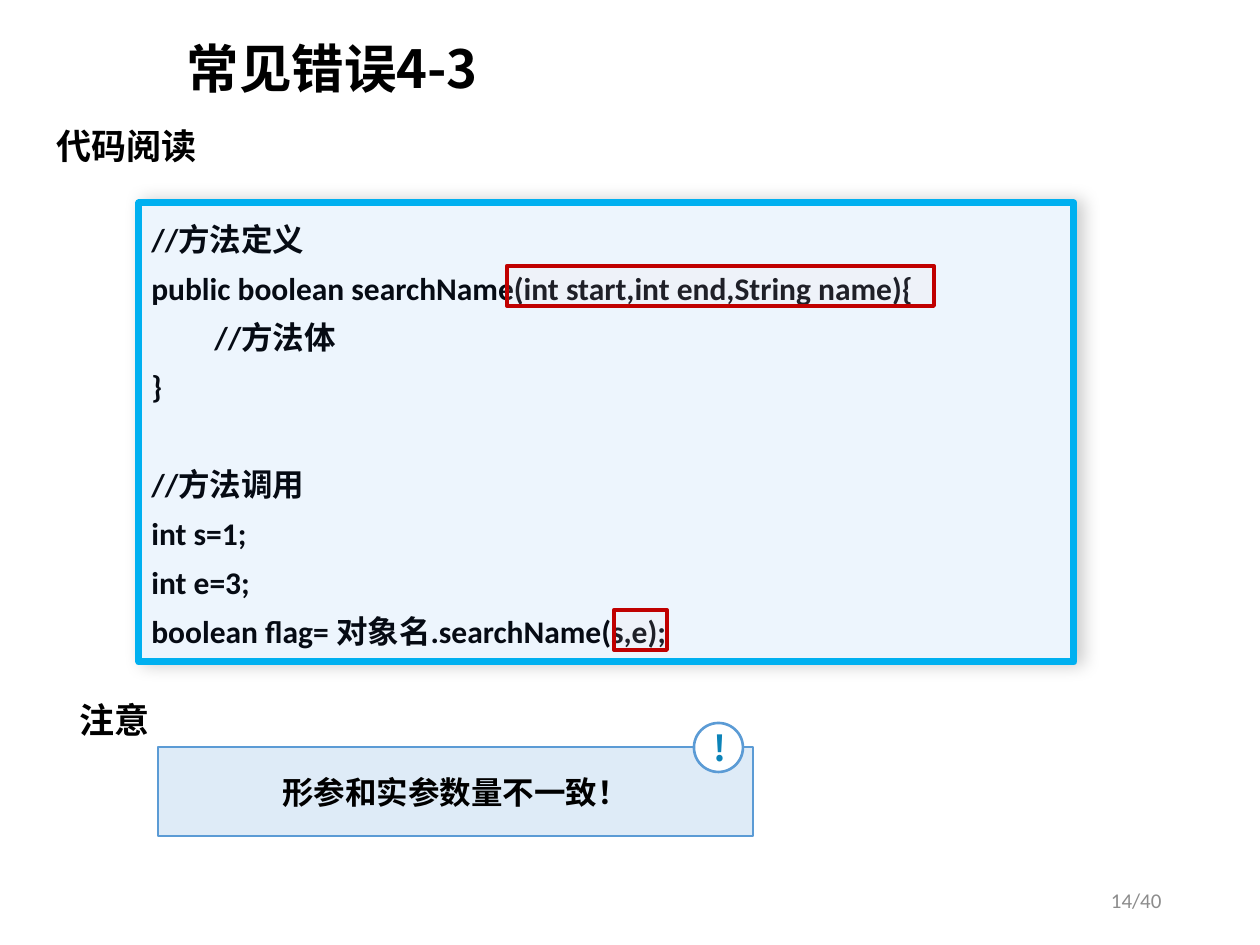
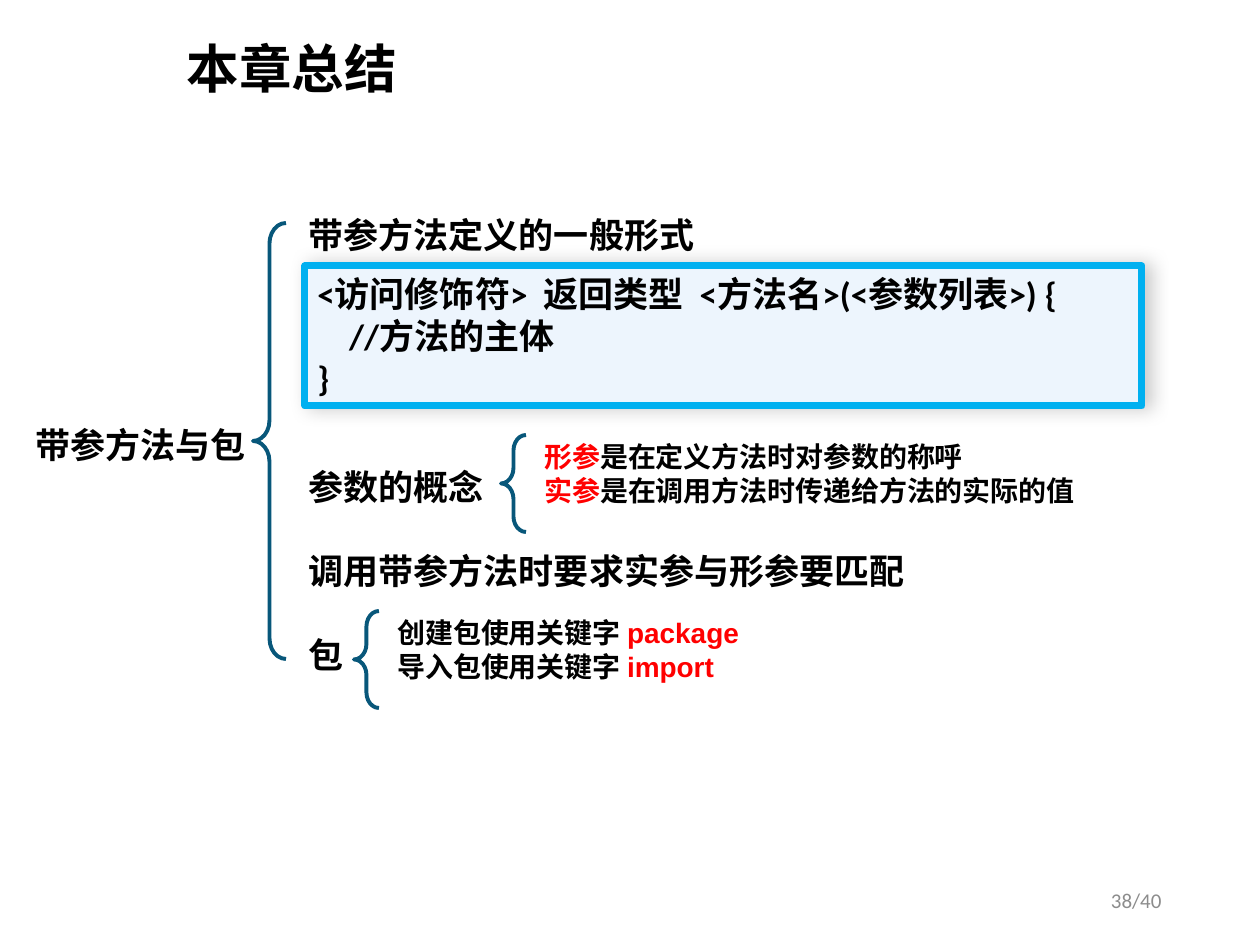
import dataclasses

import lxml.etree
import pptx
import pptx.dml.color
import pptx.enum.shapes
import pptx.enum.text
import pptx.oxml.ns
import pptx.util

PX = 914400 / 126
SHAPE = pptx.enum.shapes.MSO_SHAPE
ALIGN = pptx.enum.text.PP_ALIGN
ANCHOR = pptx.enum.text.MSO_ANCHOR
CJK = "Noto Sans CJK SC"


@dataclasses.dataclass(frozen=True)
class TextStyle:
    """Type settings with a fixed line pitch in points."""
    size: int
    pitch: int
    font: str = CJK
    color: str = "000000"
    bold: bool = True
    shadow: bool = False


@dataclasses.dataclass(frozen=True)
class Theme:
    """Colours and type styles shared by the slides."""
    code_fill: str = "EDF5FD"
    code_line: str = "00B0F0"
    mark_fill: str = "FFDDDD"
    mark_line: str = "C00000"
    note_fill: str = "DEEBF7"
    note_line: str = "5B9BD5"
    badge_fill: str = "FFFFFF"
    brace_line: str = "08577A"
    keyword: str = "FF0000"
    title: TextStyle = TextStyle(30, 36)
    heading: TextStyle = TextStyle(20, 24, shadow=True)
    code: TextStyle = TextStyle(18, 28, "Calibri", "060B14")
    syntax: TextStyle = TextStyle(20, 24, "Calibri")
    note: TextStyle = TextStyle(18, 22)
    badge: TextStyle = TextStyle(20, 24, color="0C83B8")
    topic: TextStyle = TextStyle(20, 24, "Arial")
    detail: TextStyle = TextStyle(16, 19, "Arial")
    footer: TextStyle = TextStyle(12, 14, "Calibri", "8C8C8C", False)


THEME = Theme()


def px(*lengths):
    """Turn pixel lengths into EMU."""
    return [pptx.util.Emu(round(length * PX)) for length in lengths]


def rgb(color):
    """Return a colour object for a hex string."""
    return pptx.dml.color.RGBColor.from_string(color)


def element(parent, tag, **attributes):
    """Append a DrawingML child element and return it."""
    child = lxml.etree.SubElement(parent, pptx.oxml.ns.qn(tag))
    for name, value in attributes.items():
        child.set(name, str(value))
    return child


def add_shadow(effects, blur, distance, direction, alpha):
    """Put a soft black shadow in an effect list."""
    shadow = element(effects, "a:outerShdw", blurRad=pptx.util.Pt(blur),
                     dist=pptx.util.Pt(distance), dir=direction * 60000,
                     algn="ctr", rotWithShape=0)
    black = element(shadow, "a:srgbClr", val="000000")
    element(black, "a:alpha", val=alpha * 1000)


def add_span(para, text, style, color=None):
    """Add one formatted run to a paragraph."""
    span = para.add_run()
    span.text = text
    span.font.size = pptx.util.Pt(style.size)
    span.font.bold = style.bold
    span.font.color.rgb = rgb(color or style.color)
    span.font.name = style.font
    latin = span.font._element.find(pptx.oxml.ns.qn("a:latin"))
    asian = element(span.font._element, "a:ea", typeface=CJK)
    latin.addnext(asian)
    if style.shadow:
        effects = element(span.font._element, "a:effectLst")
        add_shadow(effects, 3, 2, 45, 45)
        latin.addprevious(effects)


def write(box, lines, style, align=ALIGN.LEFT, anchor=ANCHOR.TOP, gaps=None, tab=None):
    """Fill a box; each line is a string or a list of (text, colour) spans."""
    frame = box.text_frame
    frame.word_wrap = True
    frame.auto_size = pptx.enum.text.MSO_AUTO_SIZE.NONE
    frame.vertical_anchor = anchor
    for index, line in enumerate(lines):
        para = frame.paragraphs[0] if index == 0 else frame.add_paragraph()
        properties = para._p.get_or_add_pPr()
        properties.set("marL", "0")
        properties.set("indent", "0")
        element(properties, "a:buNone")
        if tab:
            stops = element(properties, "a:tabLst")
            element(stops, "a:tab", pos=px(tab)[0], algn="l")
        para.alignment = align
        para.line_spacing = pptx.util.Pt(style.pitch)
        para.space_before = pptx.util.Pt(style.pitch * (gaps or {}).get(index, 0))
        para.space_after = pptx.util.Pt(0)
        spans = [(line, None)] if isinstance(line, str) else line
        for text, color in spans:
            add_span(para, text, style, color)


def add_text(page, bounds, lines, style, **layout):
    """Add a text box."""
    box = page.shapes.add_textbox(*px(*bounds))
    write(box, lines, style, **layout)
    return box


def add_panel(page, kind, bounds, fill, line, width):
    """Add a preset shape with a plain fill and outline."""
    panel = page.shapes.add_shape(kind, *px(*bounds))
    panel.shadow.inherit = False
    if fill:
        panel.fill.solid()
        panel.fill.fore_color.rgb = rgb(fill)
    else:
        panel.fill.background()
    panel.line.color.rgb = rgb(line)
    panel.line.width = pptx.util.Pt(width)
    if kind == SHAPE.ROUNDED_RECTANGLE:
        panel.adjustments[0] = 0
    return panel


def add_code(page, bounds, lines, style, **layout):
    """Add a framed code panel with a soft shadow."""
    panel = add_panel(page, SHAPE.ROUNDED_RECTANGLE, bounds,
                      THEME.code_fill, THEME.code_line, 4)
    effects = panel._element.spPr.find(pptx.oxml.ns.qn("a:effectLst"))
    add_shadow(effects, 10, 3, 0, 20)
    write(panel, lines, style, **layout)
    panel.text_frame.margin_right = 0


def add_mark(page, bounds):
    """Frame a piece of code with a translucent red box."""
    mark = add_panel(page, SHAPE.RECTANGLE, bounds,
                     THEME.mark_fill, THEME.mark_line, 2.25)
    color = mark.fill._xPr.find(".//" + pptx.oxml.ns.qn("a:srgbClr"))
    element(color, "a:alpha", val=10000)


def add_note(page, bounds, text):
    """Add a note panel with a round exclamation badge."""
    left, top, width, height = bounds
    panel = add_panel(page, SHAPE.ROUNDED_RECTANGLE, bounds,
                      THEME.note_fill, THEME.note_line, 1.5)
    write(panel, [text], THEME.note, align=ALIGN.CENTER, anchor=ANCHOR.MIDDLE)
    badge = add_panel(page, SHAPE.OVAL, (left + width - 59, top - 24, 49, 49),
                      THEME.badge_fill, THEME.note_line, 1.5)
    write(badge, ["!"], THEME.badge, align=ALIGN.CENTER, anchor=ANCHOR.MIDDLE)


def add_brace(page, bounds):
    """Add a left brace."""
    brace = add_panel(page, SHAPE.LEFT_BRACE, bounds, None, THEME.brace_line, 2.25)
    brace.adjustments[0] = 0.62
    brace.adjustments[1] = 0.5


def add_details(page, left, top, lines):
    """Add a brace with the detail lines beside it."""
    add_brace(page, (left, top, 25, 97))
    add_text(page, (left + 31, top - 1, 591, 81), lines, THEME.detail)


def place(box, bounds):
    """Move a placeholder to its bounds."""
    box.left, box.top, box.width, box.height = px(*bounds)


def start_page(deck, layout, title, number):
    """Add a slide with its title and page number."""
    page = deck.slides.add_slide(deck.slide_layouts.get_by_name(layout))
    place(page.shapes.title, (174, 13, 1086, 110))
    write(page.shapes.title, [title], THEME.title, anchor=ANCHOR.MIDDLE)
    add_text(page, (890, 876, 284, 50), [f"{number}/40"], THEME.footer,
             align=ALIGN.RIGHT, anchor=ANCHOR.MIDDLE)
    return page


def build_mistake(deck):
    """Build the slide on mismatched argument counts."""
    page = start_page(deck, "Title Only", "常见错误4-3", 14)
    add_text(page, (44, 118, 168, 55), ["代码阅读"], THEME.heading)
    code = [
        "//方法定义",
        "public boolean searchName(int start,int end,String name){",
        "\t//方法体",
        "}",
        "//方法调用",
        "int s=1;",
        "int e=3;",
        "boolean flag= 对象名.searchName(s,e);",
    ]
    add_code(page, (139, 203, 935, 459), code, THEME.code, gaps={4: 1}, tab=62)
    add_mark(page, (507, 266, 427, 40))
    add_mark(page, (614, 610, 53, 40))
    add_text(page, (67, 692, 97, 55), ["注意"], THEME.heading, anchor=ANCHOR.MIDDLE)
    add_note(page, (158, 747, 595, 89), "形参和实参数量不一致！")


def build_summary(deck):
    """Build the chapter summary tree."""
    page = start_page(deck, "Title and Content", "本章总结", 38)
    topics = page.placeholders[1]
    place(topics, (296, 207, 690, 479))
    write(topics, ["带参方法定义的一般形式", "参数的概念",
                   "调用带参方法时要求实参与形参要匹配", "包"],
          THEME.topic, gaps={1: 5, 2: 1, 3: 1})
    add_text(page, (15, 417, 251, 55), ["带参方法与包"], THEME.topic, align=ALIGN.CENTER)
    add_brace(page, (253, 223, 33, 436))
    syntax = ["<访问修饰符>  返回类型  <方法名>(<参数列表>) {", "    //方法的主体", "}"]
    add_code(page, (305, 266, 837, 140), syntax, THEME.syntax)
    add_details(page, 501, 435, [
        [("形参", THEME.keyword), ("是在定义方法时对参数的称呼", None)],
        [("实参", THEME.keyword), ("是在调用方法时传递给方法的实际的值", None)],
    ])
    add_details(page, 354, 611, [
        [(f"{action}包使用关键字 ", None), (keyword, THEME.keyword)]
        for action, keyword in (("创建", "package"), ("导入", "import"))
    ])


def main():
    """Build and save the deck."""
    deck = pptx.Presentation()
    deck.slide_width, deck.slide_height = px(1260, 945)
    build_mistake(deck)
    build_summary(deck)
    deck.save("out.pptx")


if __name__ == "__main__":
    main()
